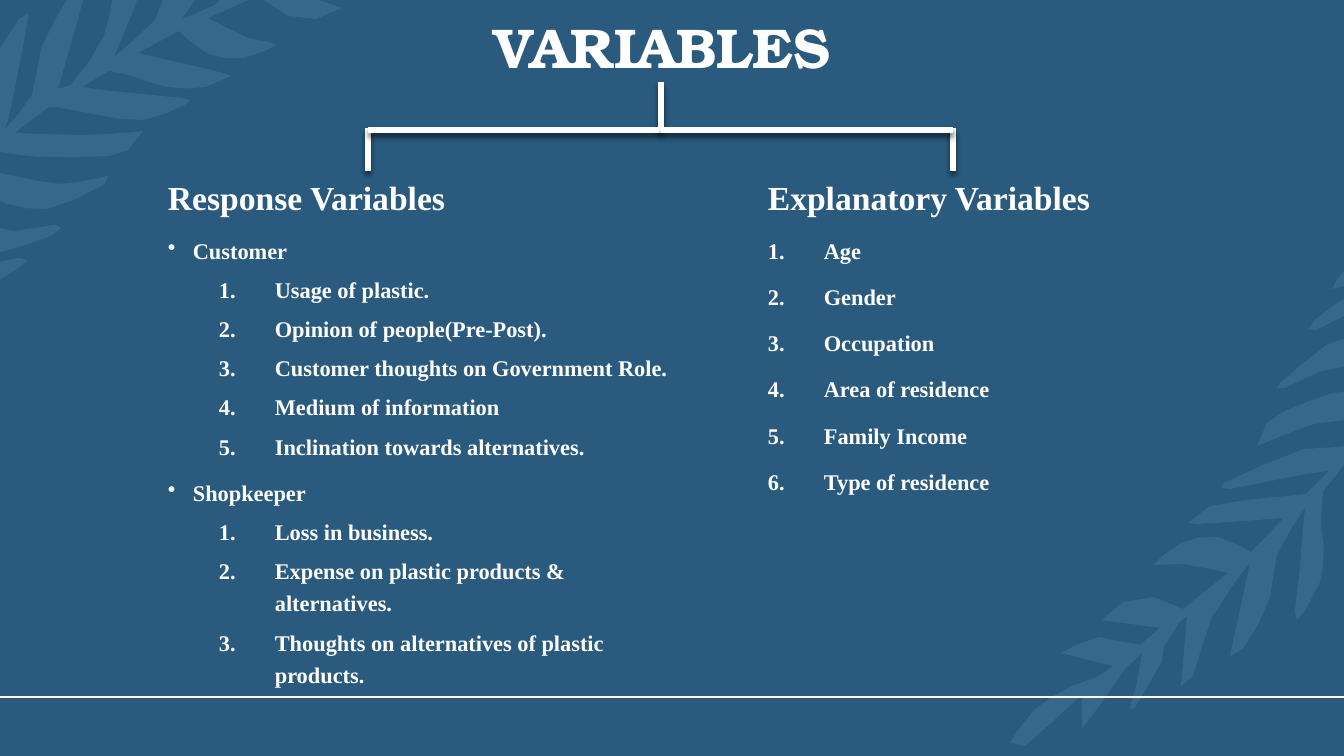
from dataclasses import dataclass

from lxml import etree
from pptx import Presentation
from pptx.dml.color import RGBColor
from pptx.enum.shapes import MSO_CONNECTOR
from pptx.enum.text import MSO_ANCHOR, PP_ALIGN
from pptx.oxml.ns import qn
from pptx.util import Pt

STRAIGHT = MSO_CONNECTOR.STRAIGHT
CENTER = PP_ALIGN.CENTER
MIDDLE = MSO_ANCHOR.MIDDLE
UNIT = 914400 / 100.8


@dataclass(frozen=True)
class Theme:
    """Colours, fonts and type sizes of the slide."""
    back: str = "2A5B7F"
    ink: str = "FFFFFF"
    leaf: str = "ABDAFC"
    shade: str = "000000"
    display: str = "TeX Gyre Bonum"
    body: str = "Times New Roman"
    title: int = 40
    head: int = 24
    item: int = 16
    thin: float = 1.25
    thick: float = 4.5


THEME = Theme()

LEFT_LEAF = (
    "19,258 28,260 20,267 1,279 0,279 0,262",
    "56,225 61,228 51,236 9,250 0,252 0,228 13,231 53,225",
    "0,173 15,176 60,184 100,178 108,176 105,184 47,209 7,204 0,201",
    "264,0 319,0 342,8 316,19 288,16",
    "67,0 83,0 77,23 58,89 71,85 104,36 112,0 137,0 134,9 "
    "114,57 155,20 163,0 195,0 182,19 215,5 220,0 249,0 208,18 "
    "248,38 268,42 277,45 244,58 208,54 179,31 138,53 164,59 223,73 231,76 "
    "206,87 166,87 129,75 109,71 82,87 110,91 182,98 190,100 185,105 "
    "143,120 99,115 56,107 49,107 15,133 83,135 137,132 143,131 128,150 "
    "109,156 39,157 0,152 0,48 19,19 28,14 28,19 19,67 9,117 "
    "5,129 32,95 41,48",
)
RIGHT_LEAF = (
    "1344,446 1344,465 1323,492 1321,526 1324,547 1320,582 1305,611 "
    "1297,620 1295,612 1299,577 1305,508 1277,555 1270,598 1243,649 1230,656 "
    "1250,563 1212,617 1193,676 1181,686 1184,652 1187,616 1179,623 1164,647 "
    "1162,661 1134,709 1130,708 1137,683 1142,653 1125,669 1103,701 1082,729 "
    "1082,695 1051,723 1025,746 1010,743 1034,710 1072,686 1099,676 1113,666 "
    "1061,653 1099,637 1140,645 1160,628 1102,620 1123,602 1154,597 1183,609 "
    "1228,573 1183,564 1153,565 1181,543 1217,537 1251,552 1284,518 "
    "1257,520 1198,524 1188,523 1210,506 1287,496 1306,494 1329,471 "
    "1300,475 1230,489 1221,488 1224,483 1304,449 1337,447",
    "1344,392 1344,420 1314,424 1262,444 1257,446 1267,423 1283,412 1332,393",
    "1344,339 1344,367 1321,371 1285,388 1277,388 1279,384 1328,344",
    "1344,299 1344,316 1316,330 1308,330 1315,320 1334,305",
    "1344,271 1344,286 1332,289 1337,280",
)

RESPONSE = (
    ("Customer", (
        "Usage of plastic.",
        "Opinion of people(Pre-Post).",
        "Customer thoughts on Government Role.",
        "Medium of information",
        "Inclination towards alternatives.")),
    ("Shopkeeper", (
        "Loss in business.",
        "Expense on plastic products & alternatives.",
        "Thoughts on alternatives of plastic products.")),
)
CAUSES = ("Age", "Gender", "Occupation", "Area of residence",
          "Family Income", "Type of residence")


def px(size):
    """Turn pixels into EMU."""
    return round(size * UNIT)


def rgb(code):
    """Turn a hex code into a colour."""
    return RGBColor.from_string(code)


def add(node, tag, **attrs):
    """Append a DrawingML child and return it."""
    child = etree.SubElement(node, qn("a:" + tag))
    for key, value in attrs.items():
        child.set(key, str(value))
    return child


def slope(prev, here, after):
    """Give the unit direction at a point, or zero at a sharp corner."""
    a, b = here - prev, after - here
    if (a * b.conjugate()).real < 0.5 * abs(a) * abs(b):
        return 0
    return (after - prev) / abs(after - prev)


def smooth(text):
    """Trace a closed outline, rounding its long bent sides, in EMU."""
    dots = [complex(*map(int, pair.split(","))) for pair in text.split()]
    count = len(dots)
    dirs = [slope(dots[i - 1], dots[i], dots[(i + 1) % count]) for i in range(count)]
    trace = []
    for i, dot in enumerate(dots):
        j = (i + 1) % count
        bend = dirs[i] - dirs[j]
        side = abs(dots[j] - dot)
        trace.append(dot)
        if bend and side > 35:
            trace.append((dot + dots[j]) / 2 + bend * side / 8)
    return [(px(dot.real), px(dot.imag)) for dot in trace]


def add_leaf(slide, loops):
    """Draw a pale branch from its closed loops."""
    first, *rest = map(smooth, loops)
    pen = slide.shapes.build_freeform(*first[0])
    pen.add_line_segments(first[1:])
    for loop in rest:
        pen.move_to(*loop[0])
        pen.add_line_segments(loop[1:])
    leaf = pen.convert_to_shape()
    leaf.shadow.inherit = False
    leaf.fill.solid()
    leaf.fill.fore_color.rgb = rgb(THEME.leaf)
    leaf.line.fill.background()
    add(leaf._element.spPr.find(".//" + qn("a:srgbClr")), "alpha", val=10000)


def add_rule(slide, x1, y1, x2, y2, width, shade=True):
    """Draw a white line, with a soft drop shadow if asked."""
    rule = slide.shapes.add_connector(STRAIGHT, px(x1), px(y1), px(x2), px(y2))
    rule.line.color.rgb = rgb(THEME.ink)
    rule.line.width = Pt(width)
    effect = add(rule._element.spPr, "effectLst")
    if shade:
        drop = add(effect, "outerShdw", blurRad=Pt(4), dist=Pt(3), dir=5400000,
                   algn="t", rotWithShape=0)
        add(add(drop, "srgbClr", val=THEME.shade), "alpha", val=54000)


def add_box(slide, left, top, width, height):
    """Add a wrapping text box and return its frame."""
    box = slide.shapes.add_textbox(px(left), px(top), px(width), px(height))
    box.text_frame.word_wrap = True
    return box.text_frame


def style(para, text, size, face=THEME.body):
    """Fill a paragraph with bold white text."""
    para.text = text
    para.font.size = Pt(size)
    para.font.name = face
    para.font.bold = True
    para.font.color.rgb = rgb(THEME.ink)


def add_item(frame, text, margin, hang, number=True, level=0):
    """Append a numbered or bulleted paragraph."""
    para = frame.add_paragraph()
    style(para, text, THEME.item)
    para.level = level
    para.line_spacing = 1.2
    para.space_before = Pt(5 if level else 10)
    props = para._p.get_or_add_pPr()
    props.set("marL", str(px(margin)))
    props.set("indent", str(-px(hang)))
    mark = (etree.Element(qn("a:buAutoNum"), type="arabicPeriod") if number
            else etree.Element(qn("a:buChar"), char="\u2022"))
    props.find(qn("a:defRPr")).addprevious(mark)


def add_column(slide, head, *place):
    """Add a text column with its heading and return its frame."""
    frame = add_box(slide, *place)
    para = frame.paragraphs[0]
    style(para, head, THEME.head)
    para.line_spacing = 1.2
    para.space_before = Pt(10)
    return frame


def main():
    """Build and save the slide."""
    deck = Presentation()
    deck.slide_width, deck.slide_height = px(1344), px(756)
    slide = deck.slides.add_slide(deck.slide_layouts[6])
    slide.background.fill.solid()
    slide.background.fill.fore_color.rgb = rgb(THEME.back)
    add_rule(slide, 0, 697, 1344, 697, THEME.thin, shade=False)
    for loops in (LEFT_LEAF, RIGHT_LEAF):
        add_leaf(slide, loops)

    title = add_box(slide, 158, 13, 1008, 75)
    title.vertical_anchor = MIDDLE
    para = title.paragraphs[0]
    style(para, "VARIABLES", THEME.title, THEME.display)
    para.alignment = CENTER
    para.line_spacing = 0.9

    left = add_column(slide, "Response Variables", 158, 164, 529, 591)
    for group, items in RESPONSE:
        add_item(left, group, 25, 25, number=False)
        for item in items:
            add_item(left, item, 107, 56, level=1)
    right = add_column(slide, "Explanatory Variables", 758, 164, 572, 480)
    for item in CAUSES:
        add_item(right, item, 56, 56)

    add_rule(slide, 661, 82, 661, 131, THEME.thick)
    for x in (368, 953):
        add_rule(slide, x, 128, x, 171, THEME.thick)
        add_rule(slide, 661, 130, x, 130, THEME.thick)
    deck.save("out.pptx")


main()
